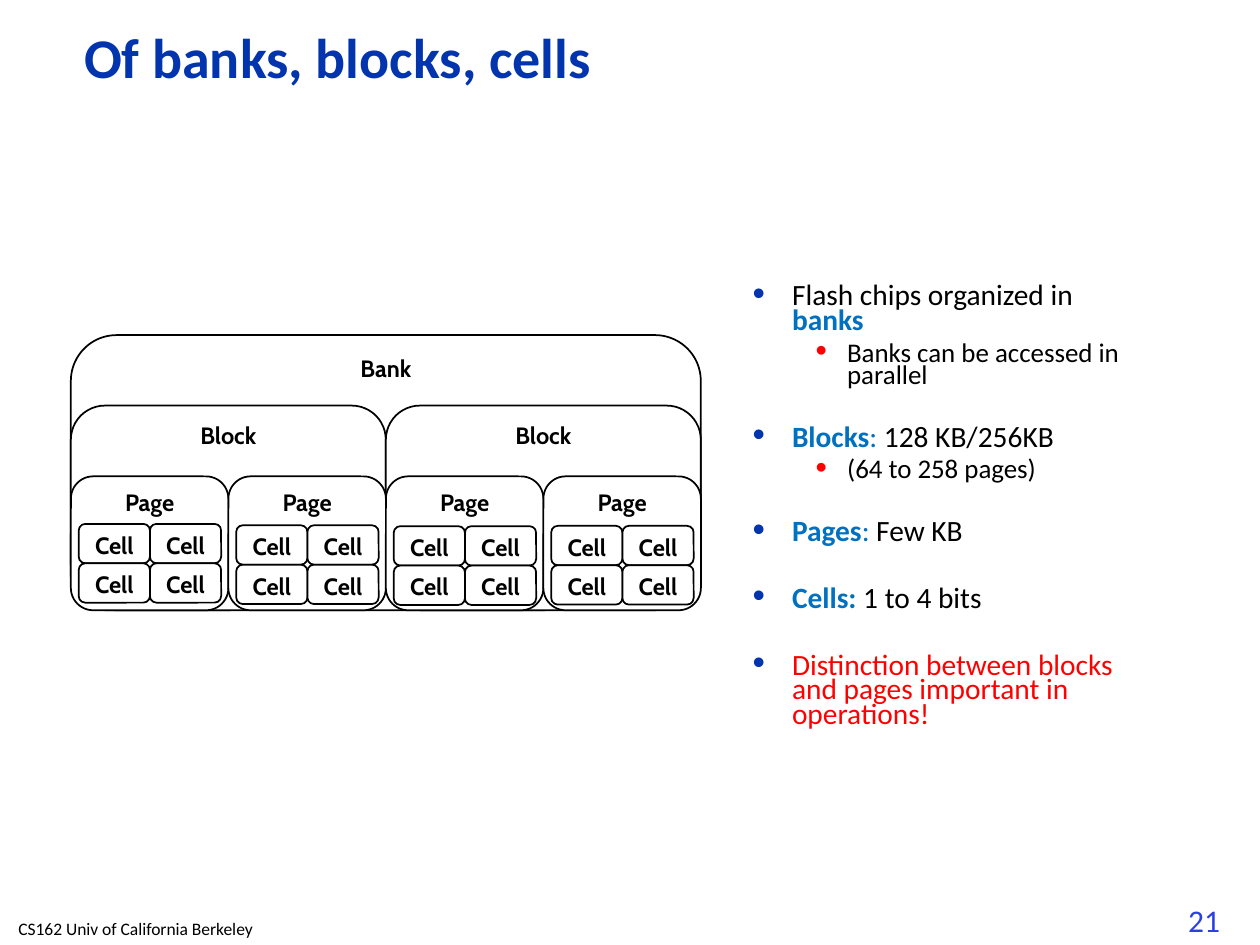
from dataclasses import dataclass

from lxml.etree import SubElement
from pptx import Presentation
from pptx.dml.color import RGBColor
from pptx.enum.shapes import MSO_SHAPE as Shape
from pptx.enum.text import MSO_ANCHOR as Anchor, MSO_AUTO_SIZE as AutoSize, PP_ALIGN as Align
from pptx.oxml.ns import qn
from pptx.util import Pt

COLOURS = {
    "black": "000000",
    "white": "FFFFFF",
    "title": "0234AD",
    "number": "2A40E2",
    "term": "0070C0",
    "red": "FF0000",
}
BULLET_LEVELS = [
    {"size": 16.8, "margin": 22.5, "indent": -22.5, "colour": "title"},
    {"size": 15.4, "margin": 54, "indent": -18, "colour": "red"},
]


def colour(name):
    return RGBColor.from_string(COLOURS[name])


@dataclass
class SlideBuilder:
    slide: object
    text_font: str = "Calibri"
    diagram_font: str = "Cabin"
    label_size: float = 13.5

    def run(self, paragraph, text, size, colour_name="black", bold=False, font=None):
        run = paragraph.add_run()
        run.text = text
        run.font.name = font or self.text_font
        run.font.size = Pt(size)
        run.font.bold = bold
        run.font.color.rgb = colour(colour_name)

    def frame(self, left, top, width, height, wrap=True):
        box = self.slide.shapes.add_textbox(Pt(left), Pt(top), Pt(width), Pt(height))
        box.text_frame.word_wrap = wrap
        return box.text_frame

    def title(self, text, *place):
        frame = self.frame(*place)
        frame.vertical_anchor = Anchor.MIDDLE
        paragraph = frame.paragraphs[0]
        paragraph.line_spacing = 0.9
        self.run(paragraph, text, 32, "title", True)

    def note(self, text, size, colour_name, *place):
        frame = self.frame(*place, wrap=False)
        frame.auto_size = AutoSize.SHAPE_TO_FIT_TEXT
        self.run(frame.paragraphs[0], text, size, colour_name)

    def unit(self, label, *place):
        shape = self.slide.shapes.add_shape(Shape.ROUNDED_RECTANGLE, *map(Pt, place))
        shape.shadow.inherit = False
        shape.fill.solid()
        shape.fill.fore_color.rgb = colour("white")
        shape.line.color.rgb = colour("black")
        shape.line.width = Pt(1)
        frame = shape.text_frame
        frame.word_wrap = True
        frame.vertical_anchor = Anchor.TOP
        frame.margin_left = frame.margin_right = Pt(5)
        frame.margin_top = frame.margin_bottom = Pt(2.8)
        paragraph = frame.paragraphs[0]
        paragraph.alignment = Align.CENTER
        self.run(paragraph, label, self.label_size, bold=True, font=self.diagram_font)

    def bullet(self, paragraph, level, space_before, runs):
        style = BULLET_LEVELS[level]
        paragraph.level = level
        paragraph.line_spacing = 0.7
        paragraph.space_before = Pt(space_before)
        properties = paragraph._p.get_or_add_pPr()
        properties.set("marL", str(Pt(style["margin"])))
        properties.set("indent", str(Pt(style["indent"])))
        bullet_colour = SubElement(properties, qn("a:buClr"))
        SubElement(bullet_colour, qn("a:srgbClr"), val=COLOURS[style["colour"]])
        SubElement(properties, qn("a:buSzPct"), val="120000")
        SubElement(properties, qn("a:buFont"), typeface="Arial")
        SubElement(properties, qn("a:buChar"), char="•")
        for text, colour_name, bold in runs:
            self.run(paragraph, text, style["size"], colour_name, bold)

    def bullets(self, items, *place):
        frame = self.frame(*place)
        for index, item in enumerate(items):
            paragraph = frame.add_paragraph() if index else frame.paragraphs[0]
            self.bullet(paragraph, *item)


def draw_bank(builder):
    left, top, bottom, width = 40.5, 191.5, 348.7, 360
    block_top, page_top = 231.8, 272.2
    block_width, page_width = width / 2, width / 4
    cell_width, cell_height = 40.7, 22.5
    cell_tops = [299.4, 300.2, 300.7, 300.5]

    builder.unit("Bank", left, top, width, bottom - top)
    for block in range(2):
        builder.unit("Block", left + block * block_width, block_top, block_width, bottom - block_top)
    for page in range(4):
        builder.unit("Page", left + page * page_width, page_top, page_width, bottom - page_top)
    for page, cell_top in enumerate(cell_tops):
        cell_left = left + page * page_width + 4.5
        for column in range(2):
            for row in range(2):
                builder.unit("Cell", cell_left + column * cell_width, cell_top + row * cell_height,
                             cell_width, cell_height)


def main():
    presentation = Presentation()
    presentation.slide_width, presentation.slide_height = Pt(720), Pt(540)
    builder = SlideBuilder(presentation.slides.add_slide(presentation.slide_layouts[6]))

    builder.note("21", 18, "number", 671.8, 511.2, 36.7, 28.8)
    builder.title("Of banks, blocks, cells", 41, 13.7, 563.8, 41.8)
    draw_bank(builder)
    builder.bullets([
        (0, 0, [("Flash chips organized in ", "black", False), ("banks", "term", True)]),
        (1, 4.8, [("Banks can be accessed in parallel", "black", False)]),
        (0, 22, [("Blocks", "term", True), (":", "term", False), (" 128 KB/256KB", "black", False)]),
        (1, 4.8, [("(64 to 258 pages)", "black", False)]),
        (0, 22, [("Pages", "term", True), (":", "term", False), (" Few KB", "black", False)]),
        (0, 24, [("Cells:", "term", True), (" 1 to 4 bits", "black", False)]),
        (0, 24, [("Distinction between blocks and pages important in operations!", "red", False)]),
    ], 423, 160, 238.5, 301.5)
    builder.note("CS162 Univ of California Berkeley", 10, "black", 3.4, 521.3, 150.5, 19.4)

    presentation.save("out.pptx")


if __name__ == "__main__":
    main()
